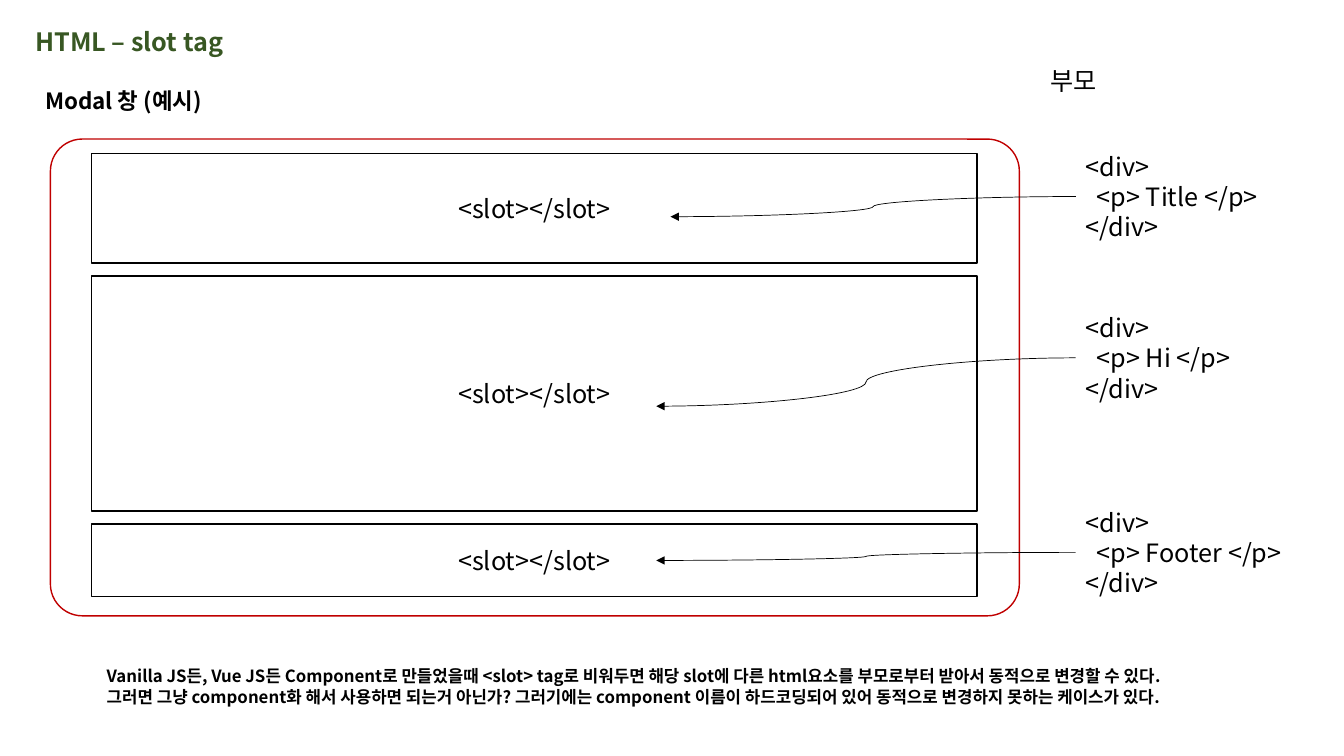
from typing import Any, NamedTuple
from lxml import etree
from pptx import Presentation
from pptx.dml.color import RGBColor
from pptx.enum import shapes as kind, text as mode
from pptx.oxml import ns
from pptx.util import Inches, Pt

FONT = "Noto Sans CJK KR"
BLACK, GREEN, RED = "000000", "385723", "C00000"


class Box(NamedTuple):
    left: float
    top: float
    width: float
    height: float


class Link(NamedTuple):
    word: str
    top: float
    width: float
    tip: tuple[float, float]


def place(box: Box) -> list[int]:
    return [Inches(side) for side in box]


def color(code: str) -> RGBColor:
    return RGBColor.from_string(code)


def write(shape: Any, lines: list[str], size: float, code: str = BLACK,
          bold: bool = False, align: Any = mode.PP_ALIGN.LEFT,
          anchor: Any = mode.MSO_ANCHOR.TOP) -> None:
    frame = shape.text_frame
    frame.text = "\n".join(lines)
    frame.word_wrap = True
    frame.auto_size = mode.MSO_AUTO_SIZE.NONE
    frame.vertical_anchor = anchor
    for para in frame.paragraphs:
        para.alignment = align
        for run in para.runs:
            font = run.font
            font.size, font.bold, font.name = Pt(size), bold, FONT
            font.color.rgb = color(code)
            east = etree.SubElement(run._r.get_or_add_rPr(), ns.qn("a:ea"))
            east.set("typeface", FONT)


def label(pool: Any, box: Box, lines: list[str], size: float,
          bold: bool = False) -> Any:
    shape = pool.add_textbox(*place(box))
    write(shape, lines, size, bold=bold)
    return shape


def panel(pool: Any, form: Any, box: Box, code: str) -> Any:
    shape = pool.add_shape(form, *place(box))
    shape.shadow.inherit = False
    shape.fill.background()
    shape.line.color.rgb = color(code)
    shape.line.width = Pt(1)
    return shape


def arrow(pool: Any, start: tuple[float, float], end: tuple[float, float]) -> None:
    ends = [Inches(value) for value in start + end]
    line = pool.add_connector(kind.MSO_CONNECTOR.CURVE, *ends)
    line.line.color.rgb = color(BLACK)
    line.line.width = Pt(0.5)
    tail = etree.SubElement(line.line._get_or_add_ln(), ns.qn("a:tailEnd"))
    tail.set("type", "triangle")
    etree.SubElement(line._element.spPr, ns.qn("a:effectLst"))


def source(pool: Any, link: Link) -> None:
    left = 10.67
    lines = ["<div>", f"<p> {link.word} </p>", "</div>"]
    shape = label(pool, Box(left, link.top, link.width, 1.01), lines, 18)
    inner = shape.text_frame.paragraphs[1]._p.get_or_add_pPr()
    inner.set("marL", str(Inches(0.11)))
    arrow(pool, (left, link.top + 0.5), link.tip)


deck = Presentation()
deck.slide_width, deck.slide_height = Inches(13.33), Inches(7.5)
slide = deck.slides.add_slide(deck.slide_layouts[5])
pool = slide.shapes

title = pool.title
title.left, title.top, title.width, title.height = place(Box(0.25, 0.21, 6.79, 0.4))
write(title, ["HTML – slot tag"], 18, GREEN, bold=True)
label(pool, Box(0.35, 0.82, 3.3, 0.37), ["Modal 창 (예시)"], 16, bold=True)

modal = pool.add_group_shape().shapes
frame = panel(modal, kind.MSO_SHAPE.ROUNDED_RECTANGLE, Box(0.5, 1.38, 9.61, 4.73), RED)
frame.adjustments[0] = 0.067
top, gap = 1.52, 0.13
for height in (1.09, 2.33, 0.72):
    slot = panel(modal, kind.MSO_SHAPE.RECTANGLE, Box(0.91, top, 8.78, height), BLACK)
    write(slot, ["<slot></slot>"], 18, align=mode.PP_ALIGN.CENTER,
          anchor=mode.MSO_ANCHOR.MIDDLE)
    top += height + gap

label(pool, Box(0.96, 6.56, 11.55, 0.5), [
    "Vanilla JS든, Vue JS든 Component로 만들었을때 <slot> tag로 비워두면 해당 slot에 "
    "다른 html요소를 부모로부터 받아서 동적으로 변경할 수 있다.",
    "그러면 그냥 component화 해서 사용하면 되는거 아닌가? 그러기에는 component 이름이 "
    "하드코딩되어 있어 동적으로 변경하지 못하는 케이스가 있다.",
], 12, bold=True)

label(pool, Box(10.32, 0.6, 0.96, 0.4), ["부모"], 18)
for link in (
    Link("Title", 1.45, 2.2, (6.65, 2.15)),
    Link("Hi", 3.05, 2.2, (6.51, 4.03)),
    Link("Footer", 4.98, 2.5, (6.51, 5.56)),
):
    source(pool, link)

deck.save("out.pptx")
